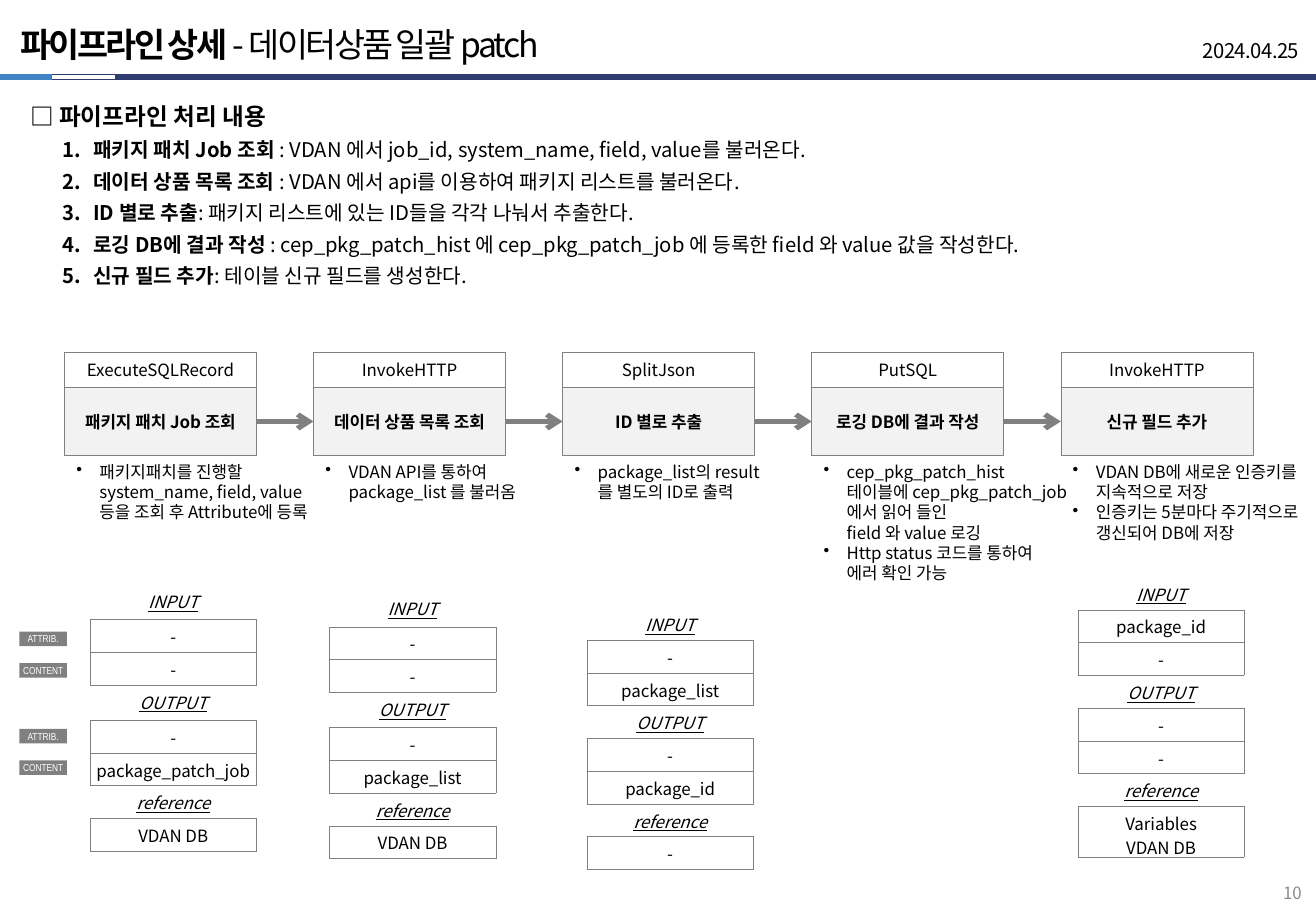
"""Build the slide that details the patch pipeline for data products."""
import copy

import pptx
import pptx.dml.color
import pptx.enum.shapes
import pptx.enum.text
import pptx.oxml
import pptx.oxml.ns
import pptx.util

PX = 9144
THEME = {
    "font": "Noto Sans CJK KR", "badge_font": "Arial Narrow",
    "ink": "000000", "white": "FFFFFF", "grey": "808080", "pale": "F2F2F2",
    "navy": "2F3C72", "blue": "4283C5", "number": "8C8C8C",
    "title": 20, "heading": 14, "list": 12, "body": 10, "badge": 6,
}
ALIGN = pptx.enum.text.PP_ALIGN
ANCHOR = pptx.enum.text.MSO_ANCHOR
RECTANGLE = pptx.enum.shapes.MSO_SHAPE.RECTANGLE
STRAIGHT = pptx.enum.shapes.MSO_CONNECTOR.STRAIGHT
color = pptx.dml.color.RGBColor.from_string
qn = pptx.oxml.ns.qn


def write(frame, paras, size="body", ink="ink", font="font", align=ALIGN.LEFT,
          anchor=ANCHOR.TOP, margins=(10, 5), spacing=None,
          bullet=None, indent=(0, 0), track=0):
    """Fill a text frame with paragraphs made of (text, format) spans."""
    side, edge = (pptx.util.Emu(margin * PX) for margin in margins)
    layout = {"word_wrap": True, "vertical_anchor": anchor, "margin_left": side,
              "margin_right": side, "margin_top": edge, "margin_bottom": edge}
    for name, value in layout.items():
        setattr(frame, name, value)
    for index, spans in enumerate(paras):
        para = frame.add_paragraph() if index else frame.paragraphs[0]
        para.alignment, para.line_spacing = align, spacing
        if bullet and not (size == "list" and index == 0):
            props = para._p.get_or_add_pPr()
            props.set("marL", str(indent[0] * PX))
            props.set("indent", str(indent[1] * PX))
            props.append(pptx.oxml.parse_xml(bullet))
        for text, look in spans:
            for number, line in enumerate(text.split("\n")):
                if number:
                    para.add_line_break()
                span = para.add_run()
                span.text = line
                span.font.color.rgb = color(THEME[ink])
                formats = {"size": pptx.util.Pt(THEME[size]), "name": THEME[font], **look}
                for name, value in formats.items():
                    setattr(span.font, name, value)
                props = span._r.get_or_add_rPr()
                if track:
                    props.set("spc", str(track))
                props.append(props.makeelement(qn("a:ea"), {"typeface": THEME[font]}))
                if number:
                    span._r.getprevious().append(copy.deepcopy(props))


def add_box(area, fill=None, line=None, text_only=False):
    """Add a rectangle or a text box and return it."""
    area = [pptx.util.Emu(length * PX) for length in area]
    if text_only:
        return page.shapes.add_textbox(*area)
    box = page.shapes.add_shape(RECTANGLE, *area)
    box.shadow.inherit = False
    if fill:
        box.fill.solid()
        box.fill.fore_color.rgb = color(THEME[fill])
    else:
        box.fill.background()
    if line:
        box.line.color.rgb = color(THEME[line])
        box.line.width = pptx.util.Pt(0.25)
    else:
        box.line.fill.background()
    return box


PAGE_WIDTH, PAGE_HEIGHT = 1083, 750
deck = pptx.Presentation()
deck.slide_width = pptx.util.Emu(PAGE_WIDTH * PX)
deck.slide_height = pptx.util.Emu(PAGE_HEIGHT * PX)
page = deck.slides.add_slide(deck.slide_layouts[6])
BOLD = {"bold": True}
LABEL = {"italic": True, "underline": True}
NAMESPACE = f'xmlns:a="{pptx.oxml.ns.nsuri("a")}"'
DOT = f'<a:buChar {NAMESPACE} char="•"/>'
NUMBER = f'<a:buAutoNum {NAMESPACE} type="arabicPeriod"/>'

for left, width, fill, line in [(42, 53, None, "navy"), (0, 42, "blue", "blue"),
                                (95, 988, "navy", "navy")]:
    add_box((left, 61, width, 4), fill, line)

title = add_box((7, 14, 726, 44), text_only=True)
write(title.text_frame, [[("파이프라인 상세 ", BOLD), ("- 데이터상품 일괄 patch", {})]],
      size="title", anchor=ANCHOR.MIDDLE, track=-160)
date = add_box((828, 29, 251, 28), text_only=True)
write(date.text_frame, [[("2024.04.25", {})]], size="list", align=ALIGN.RIGHT,
      anchor=ANCHOR.BOTTOM, spacing=0.9, track=-30)
page_number = add_box((1029, 718, 52, 30), text_only=True)
write(page_number.text_frame, [[("10", {})]], ink="number", align=ALIGN.RIGHT,
      anchor=ANCHOR.BOTTOM)

summary = [
    ("패키지 패치 Job 조회 ", ": VDAN 에서 job_id, system_name, field, value를 불러온다."),
    ("데이터 상품 목록 조회 ", ": VDAN 에서 api를 이용하여 패키지 리스트를 불러온다."),
    ("ID 별로 추출", ": 패키지 리스트에 있는 ID들을 각각 나눠서 추출한다."),
    ("로깅 DB에 결과 작성 ",
     ": cep_pkg_patch_hist 에 cep_pkg_patch_job 에 등록한 field 와 value 값을 작성한다."),
    ("신규 필드 추가", ": 테이블 신규 필드를 생성한다."),
]
heading = ("□ 파이프라인 처리 내용", {**BOLD, "size": pptx.util.Pt(THEME["heading"])})
steps_text = [[(name, BOLD), (detail, {})] for name, detail in summary]
content = add_box((15, 72, 1047, 170), text_only=True)
write(content.text_frame, [[heading]] + steps_text, size="list", spacing=1.3,
      bullet=NUMBER, indent=(52, -25))

STEP_LEFT, STEP_PITCH, STEP_WIDTH, NOTE_WIDTH = 53, 205, 158, 240
steps = [
    ("ExecuteSQLRecord",
     ["패키지패치를 진행할\nsystem_name, field, value\n등을 조회 후 Attribute에 등록"]),
    ("InvokeHTTP", ["VDAN API를 통하여\npackage_list 를 불러옴"]),
    ("SplitJson", ["package_list의 result\n를 별도의 ID로 출력"]),
    ("PutSQL",
     ["cep_pkg_patch_hist\n테이블에 cep_pkg_patch_job\n에서 읽어 들인\nfield 와 value 로깅",
      "Http status 코드를 통하여\n에러 확인 가능"]),
    ("InvokeHTTP", ["VDAN DB에 새로운 인증키를\n지속적으로 저장",
                    "인증키는 5분마다 주기적으로\n갱신되어 DB에 저장"]),
]
for index, (processor, notes) in enumerate(steps):
    left = STEP_LEFT + index * STEP_PITCH
    name = summary[index][0].strip()
    for top, height, fill, text, look in [(319, 56, "pale", name, BOLD),
                                          (290, 29, "white", processor, {})]:
        box = add_box((left, top, STEP_WIDTH, height), fill, "grey")
        write(box.text_frame, [[(text, look)]], align=ALIGN.CENTER, anchor=ANCHOR.MIDDLE)
    note_width = min(NOTE_WIDTH, PAGE_WIDTH - left)
    note = add_box((left, 375, note_width, 121), text_only=True)
    write(note.text_frame, [[(text, {})] for text in notes], bullet=DOT, indent=(19, -19))
    note.text_frame.margin_right = 0
    if index:
        ends = [left - STEP_PITCH + STEP_WIDTH, 347, left, 347]
        arrow = page.shapes.add_connector(
            STRAIGHT, *[pptx.util.Emu(length * PX) for length in ends])
        arrow.line.color.rgb = color(THEME["grey"])
        arrow.line.width = pptx.util.Pt(3)
        stroke = arrow.line._get_or_add_ln()
        stroke.append(stroke.makeelement(qn("a:tailEnd"), {"type": "arrow"}))
        props = arrow._element.spPr
        props.append(props.makeelement(qn("a:effectLst"), {}))

for top in (520, 600):
    for offset, text in ((0, "ATTRIB."), (26, "CONTENT")):
        badge = add_box((16, top + offset, 39, 12), "grey")
        write(badge.text_frame, [[(text, {})]], size="badge", ink="white",
              font="badge_font", align=ALIGN.CENTER, margins=(1, 1))

TABLE_WIDTH, ROW = 137, 27
tables = [
    (74, 481, 29, 27, ["-", "-", "-", "package_patch_job", "VDAN DB"]),
    (271, 487, 29, 27, ["-", "-", "-", "package_list", "VDAN DB"]),
    (483, 500, 27, 27, ["-", "package_list", "-", "package_id", "-"]),
    (887, 475, 27, 42, ["package_id", "-", "-", "-", "Variables\nVDAN DB"]),
]
for left, top, label_row, last_row, values in tables:
    rows = ["INPUT", *values[:2], "OUTPUT", *values[2:4], "reference", values[4]]
    heights = [label_row, ROW, ROW, label_row, ROW, ROW, ROW, last_row]
    area = [pptx.util.Emu(length * PX) for length in (left, top, TABLE_WIDTH, sum(heights))]
    table = page.shapes.add_table(len(rows), 1, *area).table
    table.first_row = table.horz_banding = False
    for index, (text, height) in enumerate(zip(rows, heights)):
        table.rows[index].height = pptx.util.Emu(height * PX)
        cell = table.cell(index, 0)
        is_label = index in (0, 3, 6)
        write(cell.text_frame, [[(text, LABEL if is_label else {})]], align=ALIGN.CENTER)
        margins = {"margin_left": 5, "margin_right": 5, "margin_top": 4, "margin_bottom": 0}
        for name, value in margins.items():
            setattr(cell, name, pptx.util.Emu(value * PX))
        cell.fill.background()
        props = cell._tc.get_or_add_tcPr()
        for place, side in enumerate("LRTB"):
            hidden = is_label and (side in "LR" or (side == "T" and index == 0))
            paint = ("<a:noFill/>" if hidden else
                     f'<a:solidFill><a:srgbClr val="{THEME["grey"]}"/></a:solidFill>')
            props.insert(place, pptx.oxml.parse_xml(
                f'<a:ln{side} {NAMESPACE} w="3175">{paint}</a:ln{side}>'))

deck.save("out.pptx")
